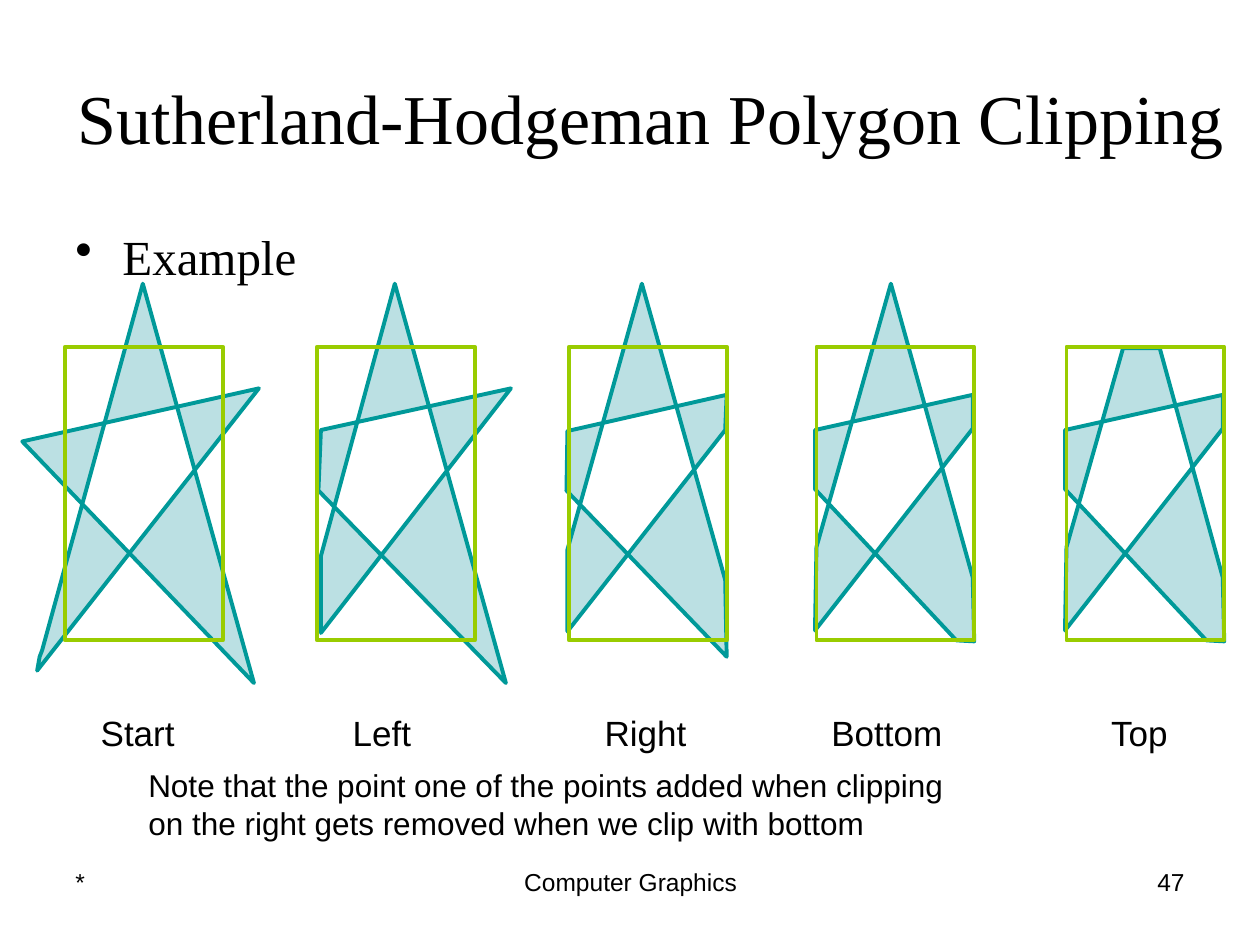
from dataclasses import dataclass

from lxml import etree
from pptx import Presentation
from pptx import util as u
from pptx.dml import color
from pptx.enum import shapes, text
from pptx.oxml import ns


@dataclass(frozen=True)
class Theme:
    """Colours, fonts and type sizes of the slide."""
    ink: str = "000000"
    polygon_fill: str = "BBE0E3"
    polygon_line: str = "009999"
    window_line: str = "99CC00"
    serif: str = "Times New Roman"
    sans: str = "Arial"
    title: int = 40
    bullet: int = 28
    label: int = 20
    note: int = 18
    footer: int = 14
    stroke: float = 2.25


THEME = Theme()
WINDOW_TOP, WINDOW_WIDTH, WINDOW_HEIGHT = 6.99, 3.18, 5.92
LABEL_TOP, LABEL_HEIGHT = 14.22, 1.09
FOOTER_TOP, FOOTER_HEIGHT = 17.35, 1.32

APEX = [(1.5, -1.27)]
CUT_APEX = [(1.14, 0.03), (1.88, 0.03)]
CLIPPED_START = [(0, 4.04)]
CLIPPED_REST = [(3.15, 4.65), (3.18, 5.94), (2.82, 5.92), (-0.03, 2.87),
                (-0.03, 1.68), (3.15, 0.97), (3.15, 1.65), (-0.03, 5.72)]

STAGES = [
    ("Start", 1.31, 1.78, 2.24,
     [(-0.56, 6.53), (-0.51, 6.25), (-0.46, 6.12), (1.57, -1.27),
      (3.81, 6.78), (-0.86, 1.91), (3.91, 0.84)]),
    ("Left", 6.39, 6.86, 1.8,
     [(0.08, 4.22), (1.57, -1.27), (3.81, 6.78), (0.03, 2.9),
      (0.08, 1.68), (3.91, 0.84), (0.08, 5.77)]),
    ("Right", 11.47, 11.94, 2.34,
     [(-0.03, 4.09), (1.47, -1.27), (3.15, 4.7), (3.18, 6.25), (-0.05, 2.9),
      (-0.03, 1.7), (3.18, 0.97), (3.15, 1.68), (-0.03, 5.74)]),
    ("Bottom", 16.46, 16.51, 3.02, CLIPPED_START + APEX + CLIPPED_REST),
    ("Top", 21.5, 22.15, 1.78, CLIPPED_START + CUT_APEX + CLIPPED_REST),
]


def set_values(target, values):
    """Set each named attribute of the target."""
    for name, value in values.items():
        setattr(target, name, value)


def write_lines(frame, lines, size, font=THEME.sans, align=text.PP_ALIGN.LEFT):
    """Fill a text frame with one formatted paragraph per line."""
    frame.text = "\n".join(lines)
    for paragraph in frame.paragraphs:
        paragraph.alignment = align
        for run in paragraph.runs:
            set_values(run.font, {"name": font, "size": u.Pt(size)})
            run.font.color.rgb = color.RGBColor.from_string(THEME.ink)


def add_words(slide, box, lines, size, wrap=True, **style):
    """Add a text box at a place given in centimetres."""
    frame = slide.shapes.add_textbox(*map(u.Cm, box)).text_frame
    frame.word_wrap = wrap
    write_lines(frame, lines, size, **style)
    return frame


def add_bullet(paragraph, indent):
    """Give a paragraph a round bullet with a hanging indent."""
    properties = paragraph._p.get_or_add_pPr()
    properties.set("marL", str(u.Cm(indent)))
    properties.set("indent", str(-u.Cm(indent)))
    etree.SubElement(properties, ns.qn("a:buChar")).set("char", "•")


def style_outline(shape, line, fill=None):
    """Set the line and the fill of a shape and drop its shadow."""
    shape.shadow.inherit = False
    shape.line.color.rgb = color.RGBColor.from_string(line)
    shape.line.width = u.Pt(THEME.stroke)
    if fill:
        shape.fill.solid()
        shape.fill.fore_color.rgb = color.RGBColor.from_string(fill)
    else:
        shape.fill.background()


def add_polygon(slide, left, points):
    """Draw a polygon from points relative to its clip window."""
    vertices = [(u.Cm(left + x), u.Cm(WINDOW_TOP + y)) for x, y in points]
    builder = slide.shapes.build_freeform(*vertices[0])
    builder.add_line_segments(vertices[1:], close=True)
    style_outline(builder.convert_to_shape(), THEME.polygon_line, THEME.polygon_fill)


def add_window(slide, left):
    """Draw the clip window."""
    place = map(u.Cm, (left, WINDOW_TOP, WINDOW_WIDTH, WINDOW_HEIGHT))
    window = slide.shapes.add_shape(shapes.MSO_SHAPE.RECTANGLE, *place)
    style_outline(window, THEME.window_line)


def add_stage(slide, name, left, label_left, label_width, points):
    """Draw one clipping stage with its polygon, window and label."""
    add_polygon(slide, left, points)
    add_window(slide, left)
    add_words(slide, (label_left, LABEL_TOP, label_width, LABEL_HEIGHT),
              [name], THEME.label, wrap=False)


def add_title(slide, words):
    """Place and format the title."""
    title = slide.shapes.title
    set_values(title, {"left": u.Cm(1.27), "top": u.Cm(0.76),
                       "width": u.Cm(23.7), "height": u.Cm(3.18)})
    title.text_frame.vertical_anchor = text.MSO_ANCHOR.MIDDLE
    write_lines(title.text_frame, [words], THEME.title, THEME.serif,
                text.PP_ALIGN.CENTER)


def add_footer(slide):
    """Add the date mark, the course name and the page number."""
    align = text.PP_ALIGN
    for words, left, width, side in [("*", 1.27, 5.92, align.LEFT),
                                     ("Computer Graphics", 8.69, 8.05, align.CENTER),
                                     ("47", 18.21, 5.92, align.RIGHT)]:
        add_words(slide, (left, FOOTER_TOP, width, FOOTER_HEIGHT), [words],
                  THEME.footer, align=side)


def main():
    """Build the slide and save it."""
    deck = Presentation()
    set_values(deck, {"slide_width": u.Cm(25.4), "slide_height": u.Cm(19.05)})
    slide = deck.slides.add_slide(deck.slide_layouts[5])
    add_title(slide, "Sutherland-Hodgeman Polygon Clipping")
    example = add_words(slide, (1.27, 4.45, 22.86, 12.57), ["Example"],
                        THEME.bullet, font=THEME.serif)
    add_bullet(example.paragraphs[0], 0.95)
    for stage in STAGES:
        add_stage(slide, *stage)
    add_words(slide, (2.74, 15.32, 18.59, 1.78),
              ["Note that the point one of the points added when clipping",
               "on the right gets removed when we clip with bottom"], THEME.note)
    add_footer(slide)
    deck.save("out.pptx")


if __name__ == "__main__":
    main()
